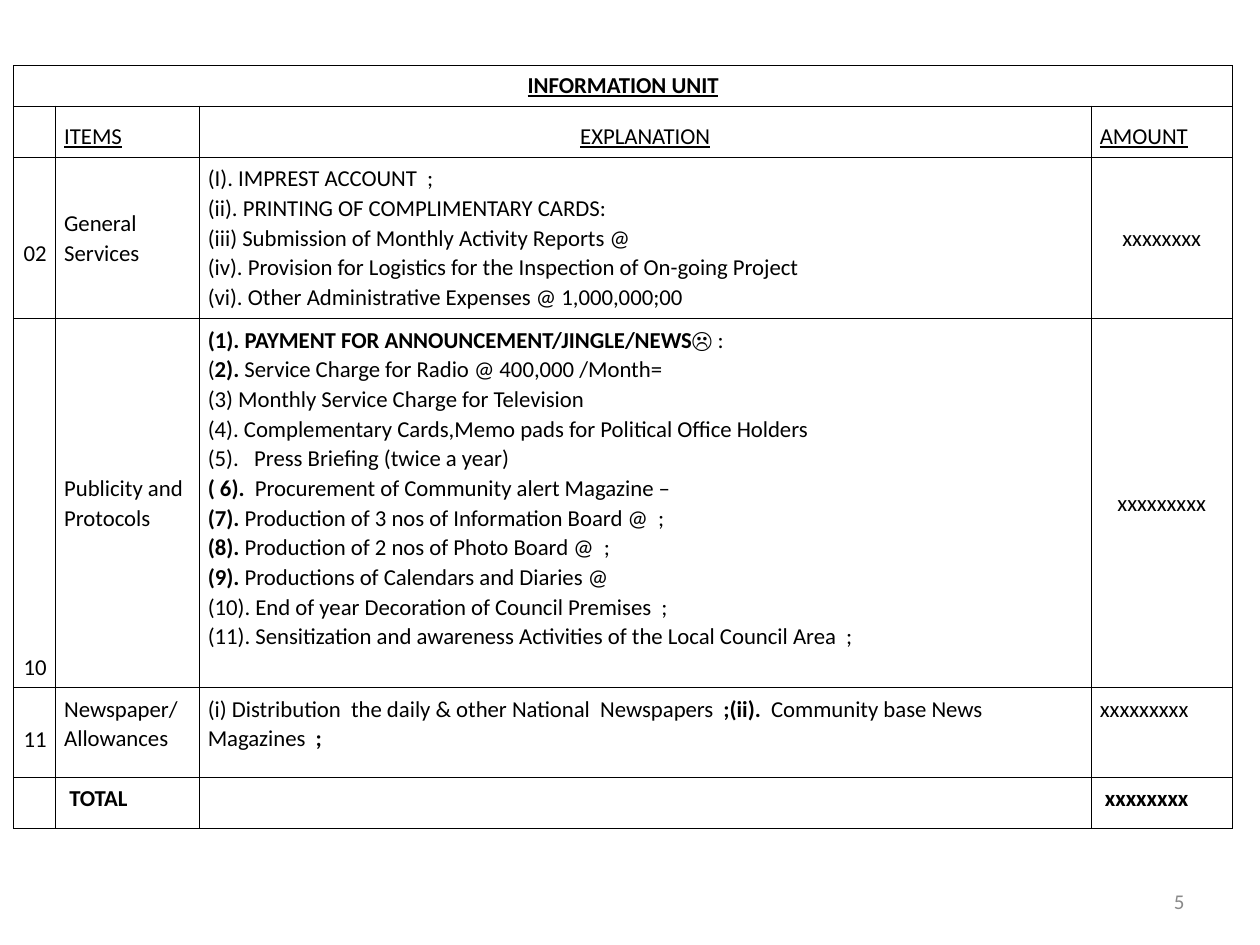
from lxml.etree import SubElement
from pptx import Presentation
from pptx.dml.color import RGBColor as Rgb
from pptx.enum.text import MSO_ANCHOR as Anchor, PP_ALIGN as Align
from pptx.oxml.ns import qn
from pptx.util import Inches, Pt

COLORS = {"ink": "000000", "page": "898989"}
LEFT, TOP = 0.11, 0.52
COLS = [0.33, 1.14, 7.08, 1.12]
ROWS = [0.32, 0.4, 1.28, 2.93, 0.71, 0.4]
LINE = 0.24

SERVICES = [
    "(I). IMPREST ACCOUNT  ;",
    "(ii). PRINTING OF COMPLIMENTARY CARDS:",
    "(iii) Submission of Monthly Activity Reports @",
    "(iv). Provision for Logistics for the Inspection of On-going Project",
    "(vi). Other Administrative Expenses @ 1,000,000;00",
]
PUBLICITY = [
    "*(1). PAYMENT FOR ANNOUNCEMENT/JINGLE/NEWS*☹** :",
    "(*2). *Service Charge for Radio @ 400,000 /Month=",
    "(3) Monthly Service Charge for Television",
    "(4). Complementary Cards,Memo pads for Political Office Holders",
    "(5).   Press Briefing (twice a year)",
    "*( 6). * Procurement of Community alert Magazine –",
    "*(7). *Production of 3 nos of Information Board @  ;",
    "*(8). *Production of 2 nos of Photo Board @  ;",
    "*(9). *Productions of Calendars and Diaries @",
    "(10). End of year Decoration of Council Premises  ;",
    "(11). Sensitization and awareness Activities of the Local Council Area  ;",
]
NEWS = ["(i) Distribution  the daily & other National  Newspapers  "
        "*;(ii).  *Community base News Magazines  *;*"]

MID, LOW = {"anchor": Anchor.MIDDLE}, {"anchor": Anchor.BOTTOM}
CENTER, RIGHT = {"align": Align.CENTER}, {"align": Align.RIGHT}
HEAD = {**LOW, "line": True}
CELLS = [
    (0, 0, ["*INFORMATION UNIT*"], {**HEAD, **CENTER, "space": 1.0}),
    (1, 1, ["ITEMS"], HEAD),
    (1, 2, ["EXPLANATION"], {**HEAD, **CENTER}),
    (1, 3, ["AMOUNT"], HEAD),
    (2, 0, ["02"], {**MID, **RIGHT, "drop": LINE}),
    (2, 1, ["General Services"], MID),
    (2, 2, SERVICES, {}),
    (2, 3, ["xxxxxxxx"], {**MID, **CENTER}),
    (3, 0, ["10"], {**LOW, **RIGHT}),
    (3, 1, ["Publicity and Protocols"], MID),
    (3, 2, PUBLICITY, {}),
    (3, 3, ["xxxxxxxxx"], {**MID, **CENTER}),
    (4, 0, ["11"], {**RIGHT, "drop": LINE}),
    (4, 1, ["Newspaper/ Allowances"], {}),
    (4, 2, NEWS, {}),
    (4, 3, ["xxxxxxxxx"], {}),
    (5, 1, ["*TOTAL*"], {"shift": 0.04}),
    (5, 3, ["*xxxxxxxx*"], {"shift": 0.04}),
]


def write(frame, lines, size=13, color="ink", align=Align.LEFT, space=1.07, line=False):
    """Write lines into a text frame, with asterisks around bold parts."""
    for i, text in enumerate(lines):
        para = frame.add_paragraph() if i else frame.paragraphs[0]
        para.alignment, para.line_spacing = align, space
        for j, part in enumerate(text.split("*")):
            if not part:
                continue
            run = para.add_run()
            run.text = part
            font = run.font
            font.name = "Arial" if part == "☹" else "Calibri"
            font.size, font.bold, font.underline = Pt(size), j % 2 == 1, line
            font.color.rgb = Rgb.from_string(COLORS[color])


def frame_cell(cell):
    """Clear the fill of a cell and draw its four borders."""
    cell.fill.background()
    props = cell._tc.get_or_add_tcPr()
    for i, side in enumerate(("lnL", "lnR", "lnT", "lnB")):
        edge = SubElement(props, qn("a:" + side), w=str(Pt(0.45)))
        fill = SubElement(edge, qn("a:solidFill"))
        SubElement(fill, qn("a:srgbClr"), val=COLORS["ink"])
        props.insert(i, edge)


def fill_cell(cell, lines, anchor=Anchor.TOP, drop=0, shift=0, **style):
    """Set the margins and text of a cell."""
    cell.vertical_anchor = anchor
    cell.margin_left, cell.margin_right = Inches(0.07 + shift), Inches(0.07)
    cell.margin_top, cell.margin_bottom = Inches(0.05 + drop), Inches(0.05)
    write(cell.text_frame, lines, **style)


def main():
    """Build the budget slide."""
    deck = Presentation()
    deck.slide_width, deck.slide_height = Inches(10), Inches(7.5)
    slide = deck.slides.add_slide(deck.slide_layouts[6])
    box = (LEFT, TOP, sum(COLS), sum(ROWS))
    table = slide.shapes.add_table(len(ROWS), len(COLS), *map(Inches, box)).table
    table.first_row = table.horz_banding = False
    for col, width in zip(table.columns, COLS):
        col.width = Inches(width)
    for row, height in zip(table.rows, ROWS):
        row.height = Inches(height)
    for cell in table.iter_cells():
        frame_cell(cell)
    table.cell(0, 0).merge(table.cell(0, len(COLS) - 1))
    for row, col, lines, style in CELLS:
        fill_cell(table.cell(row, col), lines, **style)

    page = slide.shapes.add_textbox(*map(Inches, (7.17, 6.95, 2.33, 0.4))).text_frame
    page.word_wrap, page.vertical_anchor = True, Anchor.MIDDLE
    write(page, ["5"], size=12, color="page", align=Align.RIGHT, space=1.0)
    deck.save("out.pptx")


if __name__ == "__main__":
    main()
